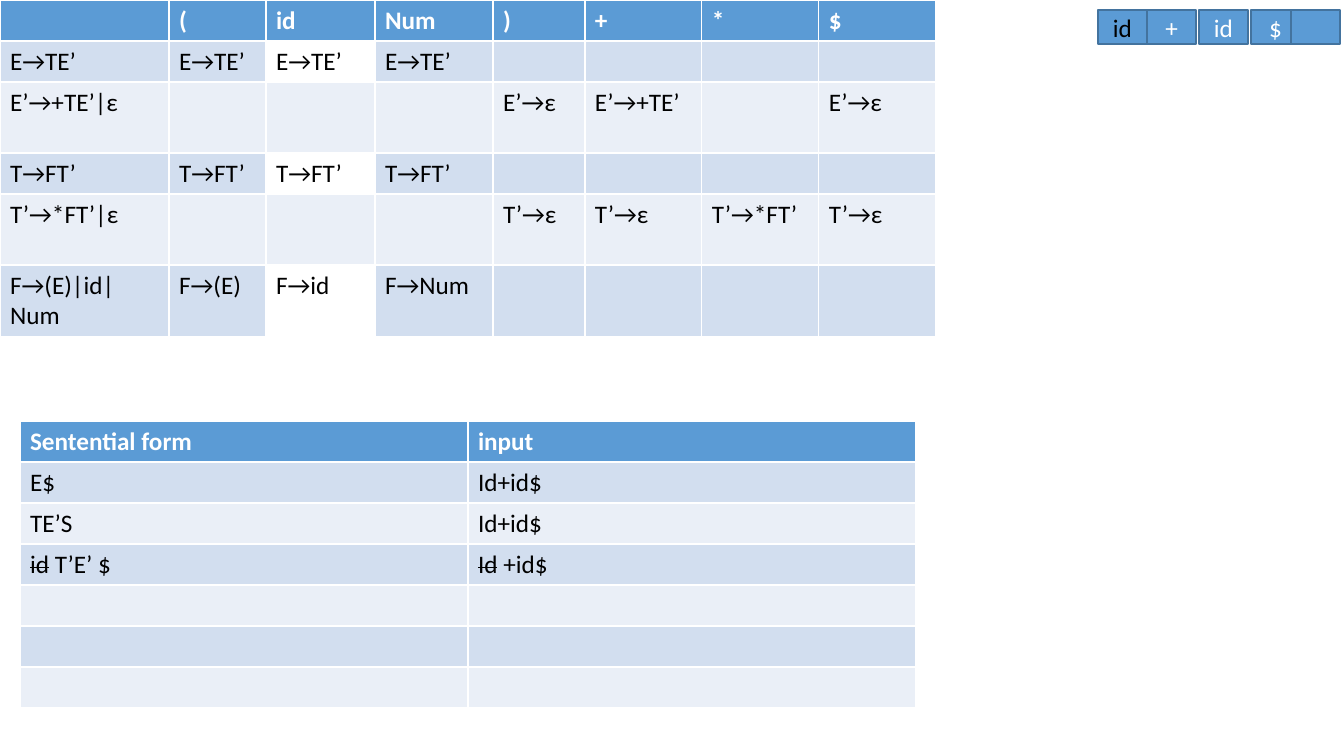
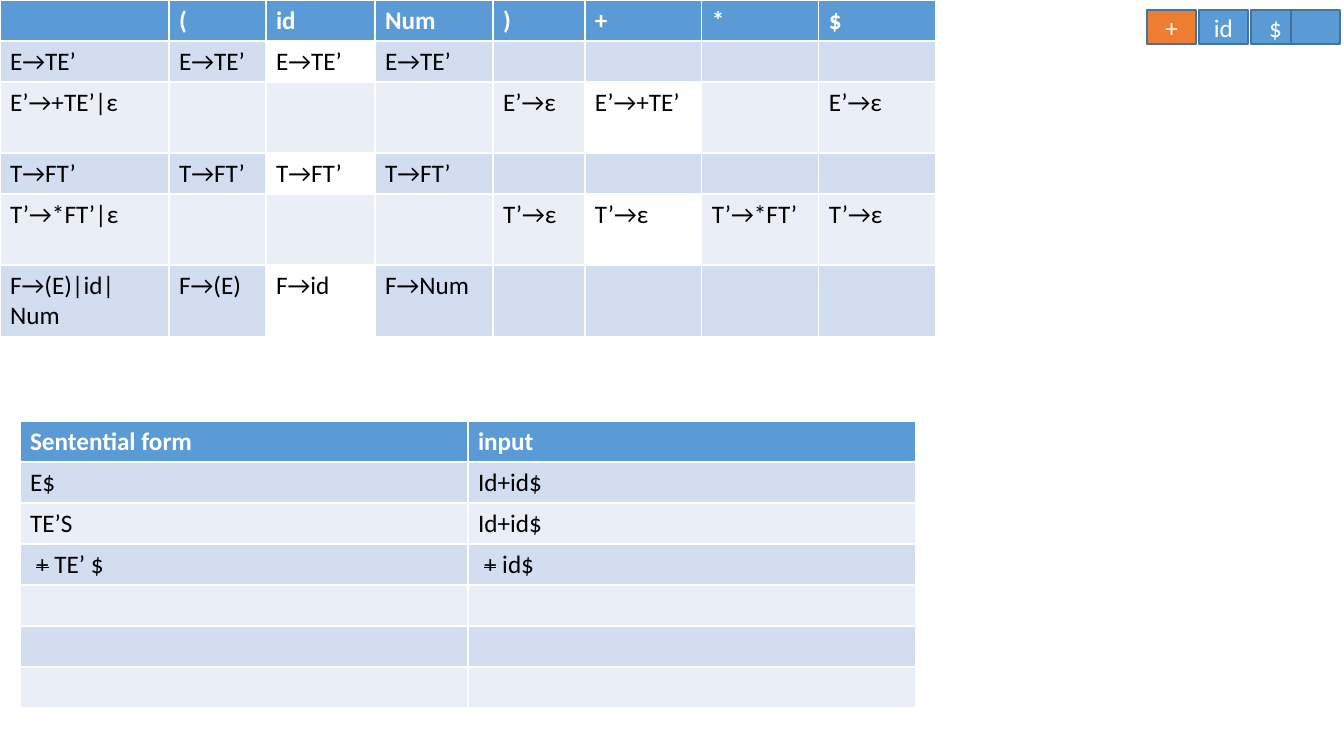
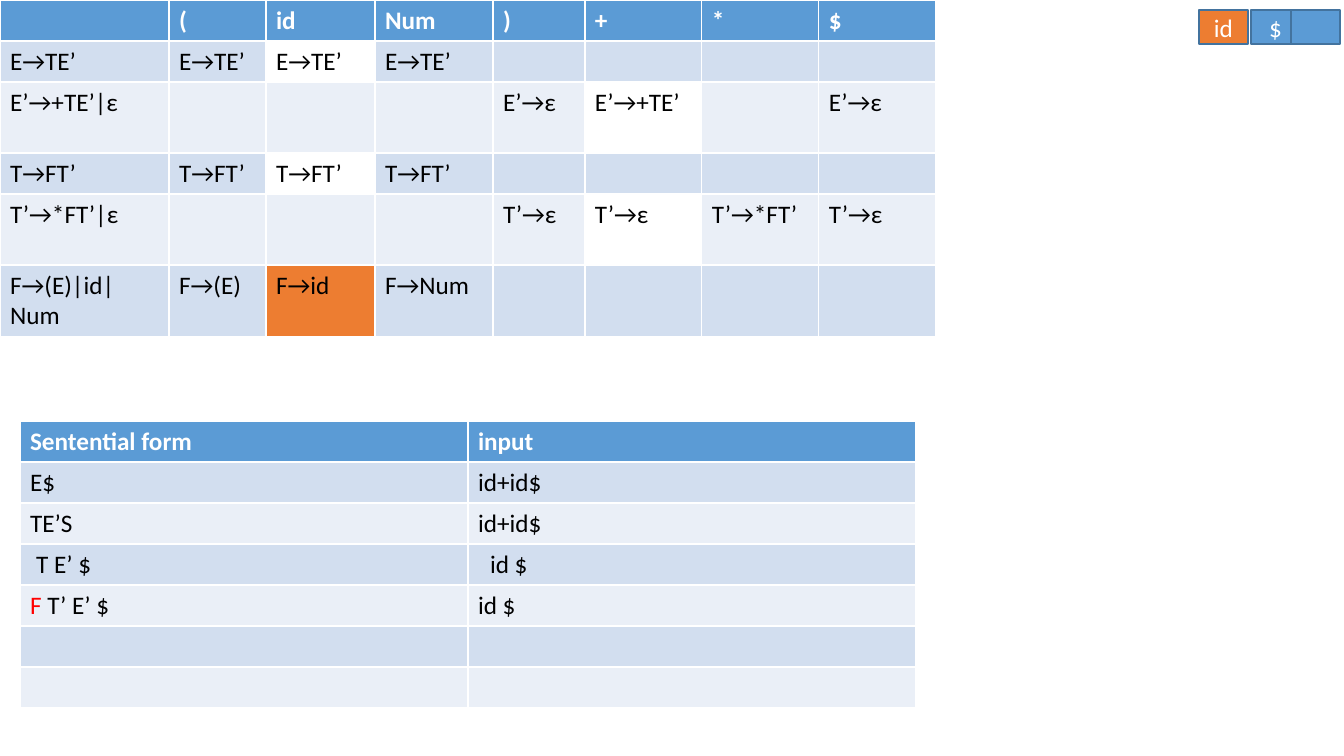
from dataclasses import dataclass, field

import pptx
import pptx.dml.color
import pptx.enum.shapes
import pptx.enum.text
import pptx.presentation
import pptx.shapes.shapetree
import pptx.table
import pptx.text.text
import pptx.util

PX_PER_INCH = 100.8


@dataclass(frozen=True)
class Theme:
    font: str = "Calibri"
    text_pt: int = 18
    line_pt: int = 1
    blue: str = "5B9BD5"
    outline: str = "43739E"
    band_dark: str = "D2DEEF"
    band_light: str = "EAEFF7"
    orange: str = "ED7D31"
    white: str = "FFFFFF"
    black: str = "000000"
    red: str = "FF0000"


THEME = Theme()


@dataclass(frozen=True)
class Symbols:
    """A piece of a cell's text that may be struck out or coloured."""
    text: str
    struck: bool = False
    color: str | None = None


@dataclass(frozen=True)
class Entry:
    """A table cell's text, pushed right by indent px."""
    pieces: tuple[Symbols, ...]
    indent: int = 0


@dataclass(frozen=True)
class Grid:
    left: int
    top: int
    columns: list[int]
    rows: list[int]


@dataclass(frozen=True)
class Token:
    text: str
    left: int


@dataclass(frozen=True)
class Step:
    """One moment of the parse: tokens consumed, cells marked, derivation so far."""
    consumed: int
    head_fill: str
    head_color: str
    derivation: list[tuple[str | Entry, str | Entry]]
    marks: dict[tuple[int, int], str] = field(default_factory=dict)


PARSE_GRID = Grid(0, 0, [169, 97, 109, 118, 92, 117, 117, 117], [41, 41, 71, 41, 71, 72])
DERIVATION_GRID = Grid(20, 421, [448] * 2, [41] * 7)

PARSE_TABLE: list[list[str]] = [
    ["", "(", "id", "Num", ")", "+", "*", "$"],
    ["E→TE’", "E→TE’", "E→TE’", "E→TE’", "", "", "", ""],
    ["E’→+TE’|ε", "", "", "", "E’→ε", "E’→+TE’", "", "E’→ε"],
    ["T→FT’", "T→FT’", "T→FT’", "T→FT’", "", "", "", ""],
    ["T’→*FT’|ε", "", "", "", "T’→ε", "T’→ε", "T’→*FT’", "T’→ε"],
    ["F→(E)|id|Num", "F→(E)", "F→id", "F→Num", "", "", "", ""],
]

INPUT_TOKENS = [Token("id", 1098), Token("+", 1147), Token("id", 1199),
                Token("$", 1251), Token("", 1291)]
TOKEN_TOP, TOKEN_WIDTH, TOKEN_HEIGHT = 10, 49, 34
SPACE = 6

ID_MARKS = {(row, 2): THEME.white for row in (1, 3, 5)}
PLUS_MARKS = ID_MARKS | {(row, 5): THEME.white for row in (2, 4)}

DERIVATION_HEADER = ("Sentential form", "input")
FIRST_LINES = [("E$", "Id+id$"), ("TE’S", "Id+id$")]

STEPS = [
    Step(0, THEME.blue, THEME.black,
         FIRST_LINES + [(Entry((Symbols("id", struck=True), Symbols(" T’E’ $"))),
                         Entry((Symbols("Id", struck=True), Symbols(" +id$"))))],
         ID_MARKS),
    Step(1, THEME.orange, THEME.white,
         FIRST_LINES + [(Entry((Symbols("+", struck=True), Symbols(" TE’ $")), SPACE),
                         Entry((Symbols("+", struck=True), Symbols(" id$")), SPACE))],
         PLUS_MARKS),
    Step(2, THEME.orange, THEME.white,
         [("E$", "id+id$"), ("TE’S", "id+id$"),
          (Entry((Symbols("T E’ $"),), SPACE), Entry((Symbols("id $"),), 2 * SPACE)),
          (Entry((Symbols("F ", color=THEME.red), Symbols("T’ E’ $"))), "id $")],
         PLUS_MARKS | {(5, 2): THEME.orange}),
]


def px(length: int) -> pptx.util.Emu:
    return pptx.util.Inches(length / PX_PER_INCH)


def rgb(color: str) -> pptx.dml.color.RGBColor:
    return pptx.dml.color.RGBColor.from_string(color)


def set_font(paragraph: pptx.text.text._Paragraph, color: str, bold: bool = False) -> None:
    font = paragraph.font
    font.name, font.size, font.bold = THEME.font, pptx.util.Pt(THEME.text_pt), bold
    font.color.rgb = rgb(color)


def fill_cell(cell: pptx.table._Cell, content: str | Entry, fill: str, is_header: bool) -> None:
    cell.fill.solid()
    cell.fill.fore_color.rgb = rgb(fill)
    entry = content if isinstance(content, Entry) else Entry((Symbols(content),))
    if entry.indent:
        cell.margin_left = cell.margin_left + px(entry.indent)
    paragraph = cell.text_frame.paragraphs[0]
    set_font(paragraph, THEME.white if is_header else THEME.black, is_header)
    for symbols in entry.pieces:
        if not symbols.text:
            continue
        run = paragraph.add_run()
        run.text = symbols.text
        if symbols.struck:
            run.font._element.set("strike", "sngStrike")
        if symbols.color:
            run.font.color.rgb = rgb(symbols.color)


def add_grid(shapes: pptx.shapes.shapetree.SlideShapes, grid: Grid,
             lines: list, marks: dict[tuple[int, int], str]) -> None:
    """Draw a banded table; rows without a line stay empty, marks override fills."""
    table = shapes.add_table(len(grid.rows), len(grid.columns), px(grid.left), px(grid.top),
                             px(sum(grid.columns)), px(sum(grid.rows))).table
    for column, width in zip(table.columns, grid.columns):
        column.width = px(width)
    for r, height in enumerate(grid.rows):
        table.rows[r].height = px(height)
        band = THEME.band_dark if r % 2 else THEME.band_light
        row_fill = band if r else THEME.blue
        line = lines[r] if r < len(lines) else [""] * len(grid.columns)
        for c, content in enumerate(line):
            fill_cell(table.cell(r, c), content, marks.get((r, c), row_fill), r == 0)


def add_token(shapes: pptx.shapes.shapetree.SlideShapes, token: Token,
              fill: str, color: str) -> None:
    box = shapes.add_shape(pptx.enum.shapes.MSO_SHAPE.RECTANGLE, px(token.left), px(TOKEN_TOP),
                           px(TOKEN_WIDTH), px(TOKEN_HEIGHT))
    box.shadow.inherit = False
    box.fill.solid()
    box.fill.fore_color.rgb = rgb(fill)
    box.line.color.rgb = rgb(THEME.outline)
    box.line.width = pptx.util.Pt(THEME.line_pt)
    if token.text:
        box.text_frame.text = token.text
        paragraph = box.text_frame.paragraphs[0]
        paragraph.alignment = pptx.enum.text.PP_ALIGN.CENTER
        set_font(paragraph, color)


def add_step(deck: pptx.presentation.Presentation, step: Step) -> None:
    blank_layout = deck.slide_layouts[6]
    shapes = deck.slides.add_slide(blank_layout).shapes
    add_grid(shapes, PARSE_GRID, PARSE_TABLE, step.marks)
    head, *rest = INPUT_TOKENS[step.consumed:]
    add_token(shapes, head, step.head_fill, step.head_color)
    for token in rest:
        add_token(shapes, token, THEME.blue, THEME.white)
    add_grid(shapes, DERIVATION_GRID, [DERIVATION_HEADER, *step.derivation], {})


def main() -> None:
    deck = pptx.Presentation()
    deck.slide_width, deck.slide_height = px(1344), px(756)
    for step in STEPS:
        add_step(deck, step)
    deck.save("out.pptx")


if __name__ == "__main__":
    main()
